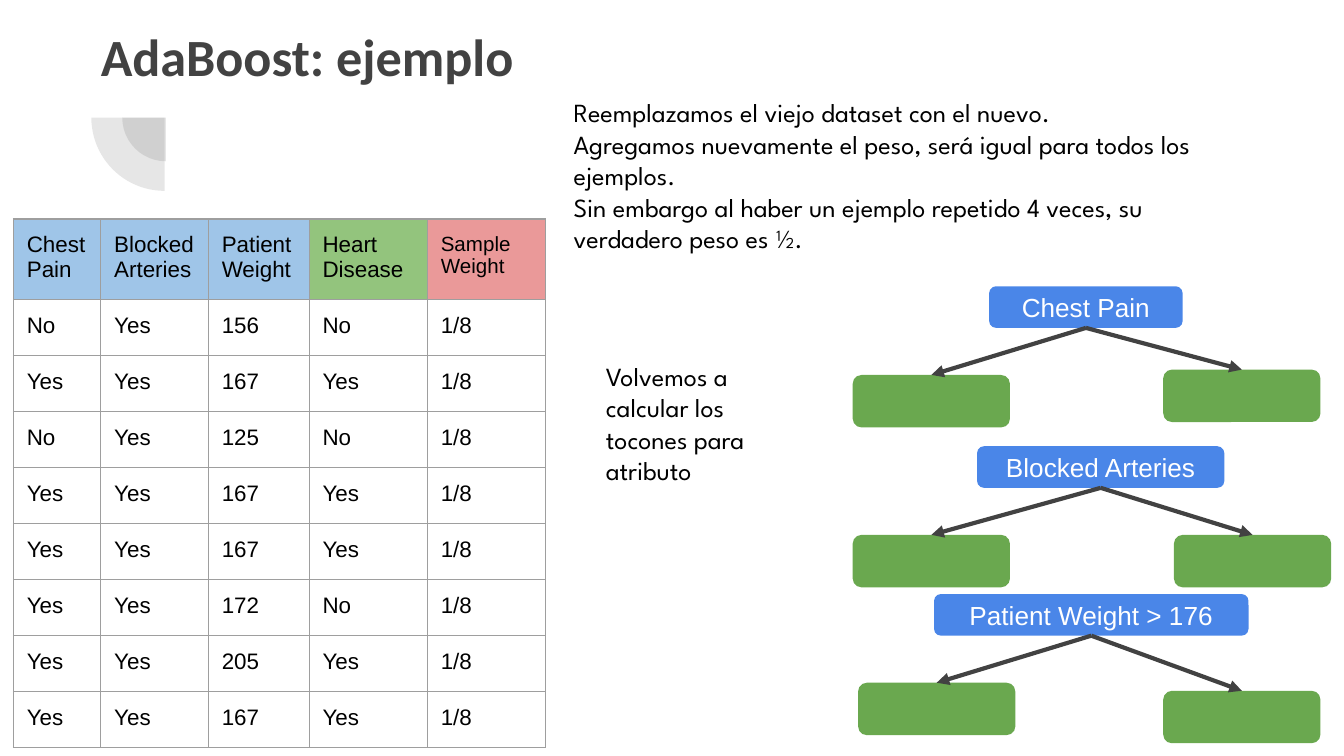
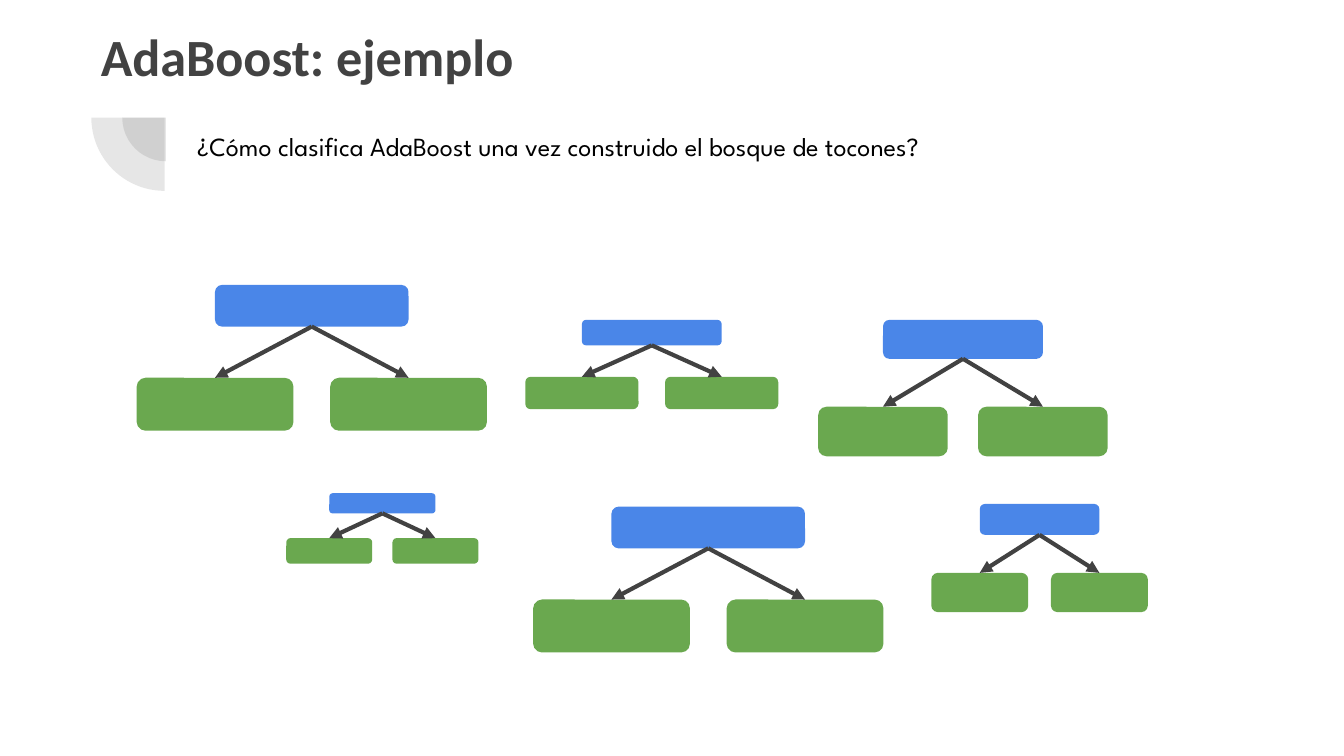
from lxml import etree
from pptx import Presentation
from pptx.dml.color import RGBColor
from pptx.enum.shapes import MSO_CONNECTOR, MSO_SHAPE
from pptx.enum.text import MSO_ANCHOR, PP_ALIGN
from pptx.oxml import parse_xml
from pptx.oxml.ns import nsdecls, qn
from pptx.util import Inches, Pt

ROUND_RECT, PIE = MSO_SHAPE.ROUNDED_RECTANGLE, MSO_SHAPE.PIE
STRAIGHT = MSO_CONNECTOR.STRAIGHT
LEFT, CENTER = PP_ALIGN.LEFT, PP_ALIGN.CENTER
TOP, MIDDLE = MSO_ANCHOR.TOP, MSO_ANCHOR.MIDDLE

DARK = RGBColor(0x42, 0x42, 0x42)
BLACK = RGBColor(0x00, 0x00, 0x00)
WHITE = RGBColor(0xFF, 0xFF, 0xFF)
ROOT_BLUE = RGBColor(0x4A, 0x86, 0xE8)
LEAF_GREEN = RGBColor(0x6A, 0xA8, 0x4F)
HEAD_BLUE = RGBColor(0x9F, 0xC5, 0xE8)
HEAD_GREEN = RGBColor(0x93, 0xC4, 0x7D)
HEAD_RED = RGBColor(0xEA, 0x99, 0x99)
BORDER = RGBColor(0x9E, 0x9E, 0x9E)
BODY_FONT = "League Spartan"


def write(tf, text, size=14, font="Arial", color=BLACK, bold=False,
          align=LEFT, anchor=TOP):
    """Fill a text frame, one paragraph per line of text."""
    tf.word_wrap = True
    tf.vertical_anchor = anchor
    tf.margin_left = tf.margin_right = Inches(0.1)
    tf.margin_top = tf.margin_bottom = Inches(0.1)
    for i, line in enumerate(text.split("\n")):
        p = tf.paragraphs[0] if i == 0 else tf.add_paragraph()
        p.alignment = align
        r = p.add_run()
        r.text = line
        r.font.size = Pt(size)
        r.font.name = font
        r.font.bold = bold
        r.font.color.rgb = color


def add_filled(s, kind, box, color):
    sp = s.shapes.add_shape(kind, *[Inches(v) for v in box])
    sp.shadow.inherit = False
    sp.fill.solid()
    sp.fill.fore_color.rgb = color
    sp.line.fill.background()
    return sp


prs = Presentation()
prs.slide_width = Inches(10)
prs.slide_height = prs.slide_width * 9 // 16
layout = prs.slide_layouts[5]
slides = [prs.slides.add_slide(layout) for _ in range(2)]
dataset_slide, forest_slide = slides

# Quarter rings, shared through the layout
for left, top, size in [(0.91, 0.55, 0.65), (0.68, 0.33, 1.09)]:
    sp = add_filled(dataset_slide, PIE, (left, top, size, size), DARK)
    sp.adjustments[0], sp.adjustments[1] = 108, 162
    sp.rotation = 270
    clr = sp._element.spPr.find(qn("a:solidFill"))[0]
    etree.SubElement(clr, qn("a:alpha"), val="13000")
    layout.shapes._spTree.append(sp._element)

for s in slides:
    title = s.shapes.title
    title.left, title.top = Inches(0.65), Inches(0.08)
    title.width, title.height = Inches(4.15), Inches(1.09)
    write(title.text_frame, "AdaBoost: ejemplo", size=28, font="Calibri",
          color=DARK, bold=True)

# Body texts
body_texts = [
    (dataset_slide, (4.17, 0.62, 5.23, 1.38),
     "Reemplazamos el viejo dataset con el nuevo.\n"
     "Agregamos nuevamente el peso, será igual para todos los ejemplos.\n"
     "Sin embargo al haber un ejemplo repetido 4 veces, su verdadero peso es ½."),
    (dataset_slide, (4.41, 2.58, 1.68, 1.14),
     "Volvemos a calcular los tocones para atributo"),
    (forest_slide, (1.37, 0.87, 6.21, 0.44),
     "¿Cómo clasifica AdaBoost una vez construido el bosque de tocones?"),
]
for s, box, text in body_texts:
    tb = s.shapes.add_textbox(*[Inches(v) for v in box])
    write(tb.text_frame, text, font=BODY_FONT)

# Dataset table
columns = [
    ("Chest Pain", 0.65, HEAD_BLUE),
    ("Blocked Arteries", 0.8, HEAD_BLUE),
    ("Patient Weight", 0.75, HEAD_BLUE),
    ("Heart Disease", 0.88, HEAD_GREEN),
    ("Sample Weight", 0.88, HEAD_RED),
]
patients = [
    ("No", "Yes", "156", "No"),
    ("Yes", "Yes", "167", "Yes"),
    ("No", "Yes", "125", "No"),
    ("Yes", "Yes", "167", "Yes"),
    ("Yes", "Yes", "167", "Yes"),
    ("Yes", "Yes", "172", "No"),
    ("Yes", "Yes", "205", "Yes"),
    ("Yes", "Yes", "167", "Yes"),
]
rows = [[name for name, _, _ in columns]] + [[*p, "1/8"] for p in patients]
table = dataset_slide.shapes.add_table(
    len(rows), len(columns), Inches(0.1), Inches(1.63),
    Inches(3.96), Inches(3.83)).table
table.first_row = table.horz_banding = False
for col, (_, width, _) in zip(table.columns, columns):
    col.width = Inches(width)
for i, values in enumerate(rows):
    table.rows[i].height = Inches(3.33 / len(patients) if i else 0.5)
    for j, value in enumerate(values):
        cell = table.cell(i, j)
        write(cell.text_frame, value, size=11 if (i, j) == (0, 4) else 12)
        cell.margin_left = cell.margin_right = Inches(0.1)
        cell.margin_top = cell.margin_bottom = Inches(0.1)
        if i == 0:
            cell.fill.solid()
            cell.fill.fore_color.rgb = columns[j][2]
        else:
            cell.fill.background()
        tcPr = cell._tc.get_or_add_tcPr()
        for k, side in enumerate(("lnL", "lnR", "lnT", "lnB")):
            tcPr.insert(k, parse_xml(
                f'<a:{side} {nsdecls("a")} w="{Pt(0.75)}"><a:solidFill>'
                f'<a:srgbClr val="{BORDER}"/></a:solidFill></a:{side}>'))

# Stumps: slide, label, root box, leaf size, top centre of each leaf
stumps = [
    (dataset_slide, "Chest Pain", (7.36, 2.13, 1.44, 0.31), (1.17, 0.39),
     [(6.93, 2.79), (9.24, 2.75)]),
    (dataset_slide, "Blocked Arteries", (7.27, 3.32, 1.84, 0.31), (1.17, 0.39),
     [(6.93, 3.98), (9.32, 3.98)]),
    (dataset_slide, "Patient Weight > 176", (6.95, 4.42, 2.34, 0.31), (1.17, 0.39),
     [(6.97, 5.08), (9.24, 5.14)]),
]
# In the forest, leaves centre on the root's edges and scale with it
for left, top, w, h in [
    (1.6, 2.12, 1.44, 0.31), (4.33, 2.38, 1.04, 0.19), (6.57, 2.38, 1.19, 0.29),
    (4.55, 3.77, 1.44, 0.31), (2.45, 3.67, 0.79, 0.15), (7.29, 3.75, 0.89, 0.23),
]:
    leaf_top = top + 2.23 * h
    stumps.append((forest_slide, "", (left, top, w, h), (0.81 * w, 1.27 * h),
                   [(left, leaf_top), (left + w, leaf_top)]))

for s, label, root_box, (leaf_w, leaf_h), leaf_tops in stumps:
    root = add_filled(s, ROUND_RECT, root_box, ROOT_BLUE)
    if label:
        write(root.text_frame, label, color=WHITE, align=CENTER, anchor=MIDDLE)
    for x, y in leaf_tops:
        leaf = add_filled(s, ROUND_RECT, (x - leaf_w / 2, y, leaf_w, leaf_h),
                          LEAF_GREEN)
        arrow = s.shapes.add_connector(STRAIGHT, 0, 0, 0, 0)
        arrow.begin_connect(root, 2)
        arrow.end_connect(leaf, 0)
        arrow.line.color.rgb = DARK
        arrow.line.width = Pt(2.25)
        spPr = arrow._element.spPr
        etree.SubElement(spPr.find(qn("a:ln")), qn("a:tailEnd"), type="triangle")
        etree.SubElement(spPr, qn("a:effectLst"))

prs.save("out.pptx")
